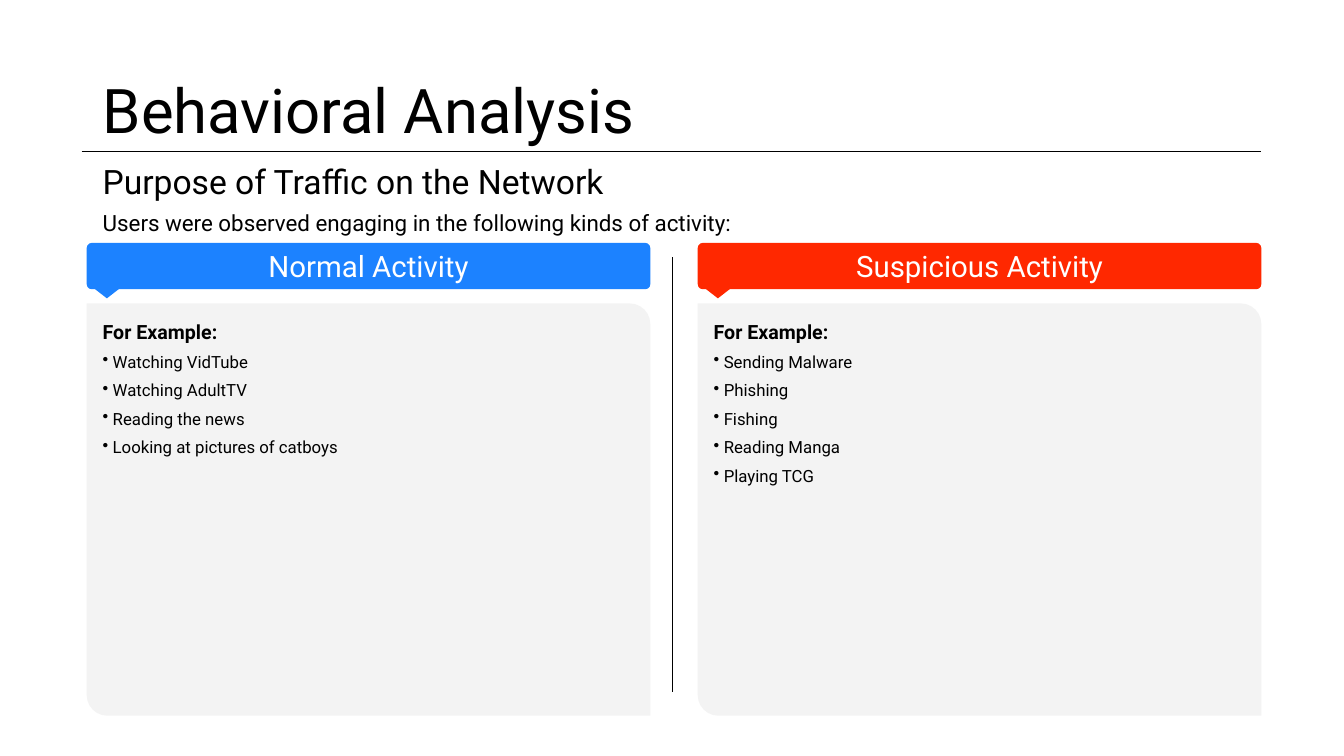
"""Build the Behavioral Analysis slide comparing normal and suspicious activity."""
from lxml.etree import SubElement
from pptx import Presentation
from pptx.dml.color import RGBColor
from pptx.enum.shapes import MSO_CONNECTOR as CONNECTOR, MSO_SHAPE as SHAPE
from pptx.enum.text import MSO_ANCHOR as ANCHOR, PP_ALIGN as ALIGN
from pptx.oxml.ns import qn
from pptx.util import Inches, Pt

FONT, BLACK, WHITE, PANEL_GREY = "Roboto", "000000", "FFFFFF", "F3F3F3"
TITLE = "Behavioral Analysis"
SUBTITLE = "Purpose of Traffic on the Network"
INTRO = "Users were observed engaging in the following kinds of activity:"
EXAMPLE_LABEL = "For Example:"
ACTIVITIES = [
    ("Normal Activity", "1C82FF",
     ["Watching VidTube", "Watching AdultTV", "Reading the news",
      "Looking at pictures of catboys"]),
    ("Suspicious Activity", "FF2800",
     ["Sending Malware", "Phishing", "Fishing", "Reading Manga", "Playing TCG"]),
]
HEADINGS = [
    (TITLE, 44, 0.4, 1.45, ANCHOR.MIDDLE),
    (SUBTITLE, 24, 1.52, 0.53, ANCHOR.BOTTOM),
    (INTRO, 16, 2.06, 0.35, ANCHOR.TOP),
]
COLUMN_LEFT, COLUMN_WIDTH, COLUMN_STEP = 0.86, 5.59, 6.06
HEADER_TOP, HEADER_HEIGHT = 2.41, 0.46
PANEL_TOP, PANEL_HEIGHT = 3.01, 4.09
RULES = [(0.81, 1.5, 12.51, 1.5, 0.75), (6.67, 2.55, 6.67, 6.87, 0.5)]


def color(hex_code):
    return RGBColor.from_string(hex_code)


def write(frame, text, size, ink=BLACK, bold=False, align=ALIGN.LEFT,
          line=None, after=0, bullet=False, first=True):
    paragraph = frame.paragraphs[0] if first else frame.add_paragraph()
    paragraph.alignment = align
    paragraph.space_after = Pt(after)
    if line:
        paragraph.line_spacing = line
    if bullet:
        properties = paragraph._p.get_or_add_pPr()
        properties.set("marL", str(Inches(0.1)))
        properties.set("indent", str(Inches(-0.1)))
        SubElement(properties, qn("a:buChar")).set("char", "•")
    run = paragraph.add_run()
    run.text = text
    run.font.name, run.font.size, run.font.bold = FONT, Pt(size), bold
    run.font.color.rgb = color(ink)


def set_frame(frame, anchor, inset=None):
    frame.word_wrap = True
    frame.vertical_anchor = anchor
    if inset is not None:
        frame.margin_left = frame.margin_right = Inches(inset)
        frame.margin_top = frame.margin_bottom = Inches(inset)
    return frame


def add_block(slide, kind, left, top, width, height, fill, adjustments=()):
    block = slide.shapes.add_shape(
        kind, Inches(left), Inches(top), Inches(width), Inches(height))
    block.shadow.inherit = False
    block.fill.solid()
    block.fill.fore_color.rgb = color(fill)
    block.line.fill.background()
    for index, value in enumerate(adjustments):
        block.adjustments[index] = value
    return block


def add_rule(slide, x1, y1, x2, y2, weight):
    rule = slide.shapes.add_connector(
        CONNECTOR.STRAIGHT, Inches(x1), Inches(y1), Inches(x2), Inches(y2))
    rule.line.color.rgb = color(BLACK)
    rule.line.width = Pt(weight)
    SubElement(rule._element.spPr, qn("a:effectLst"))


def add_activity(slide, left, name, accent, examples):
    panel = add_block(slide, SHAPE.ROUND_2_DIAG_RECTANGLE, left, PANEL_TOP,
                      COLUMN_WIDTH, PANEL_HEIGHT, PANEL_GREY, (0, 0.05))
    body = set_frame(panel.text_frame, ANCHOR.TOP, 0.1)
    write(body, EXAMPLE_LABEL, 14, bold=True, after=6)
    for example in examples:
        write(body, example, 12, after=6, bullet=True, first=False)
    pointer = add_block(slide, SHAPE.FLOWCHART_EXTRACT, left + 0.02, 2.82,
                        0.36, 0.14, accent)
    pointer.rotation = 180
    header = add_block(slide, SHAPE.ROUNDED_RECTANGLE, left, HEADER_TOP,
                       COLUMN_WIDTH, HEADER_HEIGHT, accent, (0.11,))
    write(set_frame(header.text_frame, ANCHOR.MIDDLE, 0.1), name, 21,
          ink=WHITE, align=ALIGN.CENTER)


def main():
    deck = Presentation()
    deck.slide_width, deck.slide_height = Inches(13.33), Inches(7.5)
    slide = deck.slides.add_slide(deck.slide_layouts[6])
    for rule in RULES:
        add_rule(slide, *rule)
    for text, size, top, height, anchor in HEADINGS:
        heading = slide.shapes.add_textbox(
            Inches(0.92), Inches(top), Inches(11.5), Inches(height))
        write(set_frame(heading.text_frame, anchor), text, size, line=0.9)
    for column, activity in enumerate(ACTIVITIES):
        add_activity(slide, COLUMN_LEFT + column * COLUMN_STEP, *activity)
    deck.save("out.pptx")


if __name__ == "__main__":
    main()
